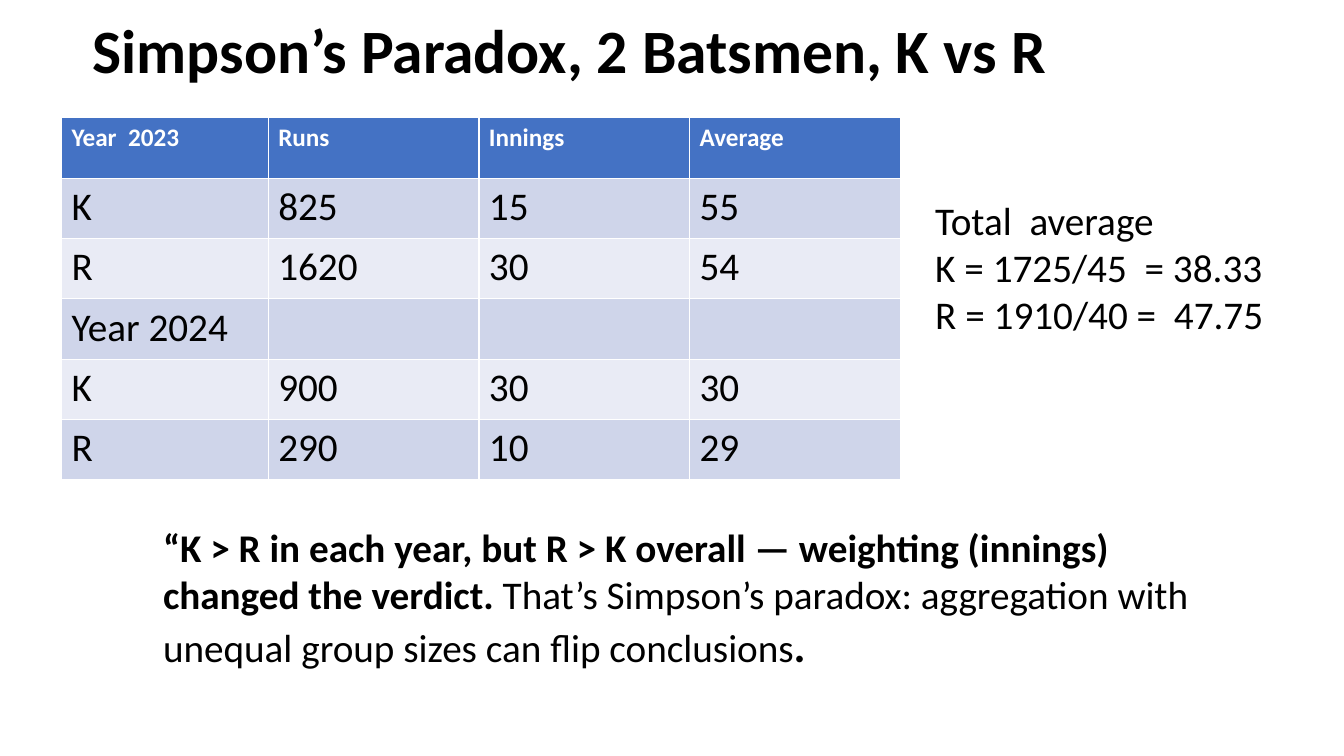
from pptx import Presentation
from pptx.dml.color import RGBColor
from pptx.enum.text import MSO_ANCHOR as Anchor, MSO_AUTO_SIZE as AutoSize, PP_ALIGN as Align
from pptx.util import Cm, Pt

BLACK = RGBColor(0x00, 0x00, 0x00)
WHITE = RGBColor(0xFF, 0xFF, 0xFF)
HEADER_BLUE = RGBColor(0x44, 0x72, 0xC4)
BANDS = (RGBColor(0xE9, 0xEB, 0xF5), RGBColor(0xCF, 0xD5, 0xEA))

SCORES = [
    ("Year  2023", "Runs", "Innings", "Average"),
    ("K", "825", "15", "55"),
    ("R", "1620", "30", "54"),
    ("Year 2024", "", "", ""),
    ("K", "900", "30", "30"),
    ("R", "290", "10", "29"),
]
TOTALS = [
    [("Total  average", 28, False)],
    [("K = 1725/45  = 38.33\nR = 1910/40 =  47.75", 28, False)],
]
CONCLUSION = [[
    ("“K > R in each year, but R > K overall — weighting (innings) "
     "changed the verdict. ", 28, True),
    ("That’s Simpson’s paradox: aggregation with unequal group sizes "
     "can flip conclusions", 28, False),
    (".", 32, True),
]]


class SlideBuilder:
    font = "Calibri"

    def __init__(self, prs):
        self.slide = prs.slides.add_slide(prs.slide_layouts[5])

    def style(self, r, size, bold=False, color=BLACK):
        r.font.name = self.font
        r.font.size = Pt(size)
        r.font.bold = bold
        r.font.color.rgb = color

    def title(self, text, left, top, width, height):
        sp = self.slide.shapes.title
        sp.left, sp.top, sp.width, sp.height = left, top, width, height
        tf = sp.text_frame
        tf.text = text
        tf.auto_size = AutoSize.NONE
        tf.vertical_anchor = Anchor.MIDDLE
        p = tf.paragraphs[0]
        p.alignment = Align.LEFT
        p.line_spacing = 0.9
        self.style(p.runs[0], 44, bold=True)

    def table(self, rows, left, top, widths, row_height):
        frame = self.slide.shapes.add_table(
            len(rows), len(widths), left, top, sum(widths), row_height * len(rows))
        table = frame.table
        for column, width in zip(table.columns, widths):
            column.width = width
        for i, values in enumerate(rows):
            table.rows[i].height = row_height
            for cell, text in zip(table.rows[i].cells, values):
                cell.text = text
                cell.fill.solid()
                cell.fill.fore_color.rgb = BANDS[i % 2] if i else HEADER_BLUE
                for r in cell.text_frame.paragraphs[0].runs:
                    if i:
                        self.style(r, 28)
                    else:
                        self.style(r, 18, bold=True, color=WHITE)

    def text(self, paragraphs, left, top, width, height):
        """Add a text box; each paragraph is a list of (text, size, bold)."""
        tf = self.slide.shapes.add_textbox(left, top, width, height).text_frame
        tf.word_wrap = True
        tf.auto_size = AutoSize.SHAPE_TO_FIT_TEXT
        for i, parts in enumerate(paragraphs):
            p = tf.add_paragraph() if i else tf.paragraphs[0]
            p.text = parts[0][0]
            for r in p.runs:
                self.style(r, *parts[0][1:])
            for text, size, bold in parts[1:]:
                r = p.add_run()
                r.text = text
                self.style(r, size, bold)


def main():
    prs = Presentation()
    prs.slide_width, prs.slide_height = Cm(33.87), Cm(19.05)
    s = SlideBuilder(prs)
    s.title("Simpson’s Paradox, 2 Batsmen, K vs R",
            Cm(2.08), Cm(-0.48), Cm(29.21), Cm(3.68))
    s.table(SCORES, Cm(1.55), Cm(2.97), [Cm(5.21)] + [Cm(5.31)] * 3, Cm(1.52))
    s.text(TOTALS, Cm(23.32), Cm(4.83), Cm(15.93), Cm(3.84))
    s.text(CONCLUSION, Cm(3.86), Cm(13.06), Cm(27.43), Cm(4.01))
    prs.save("out.pptx")


if __name__ == "__main__":
    main()
